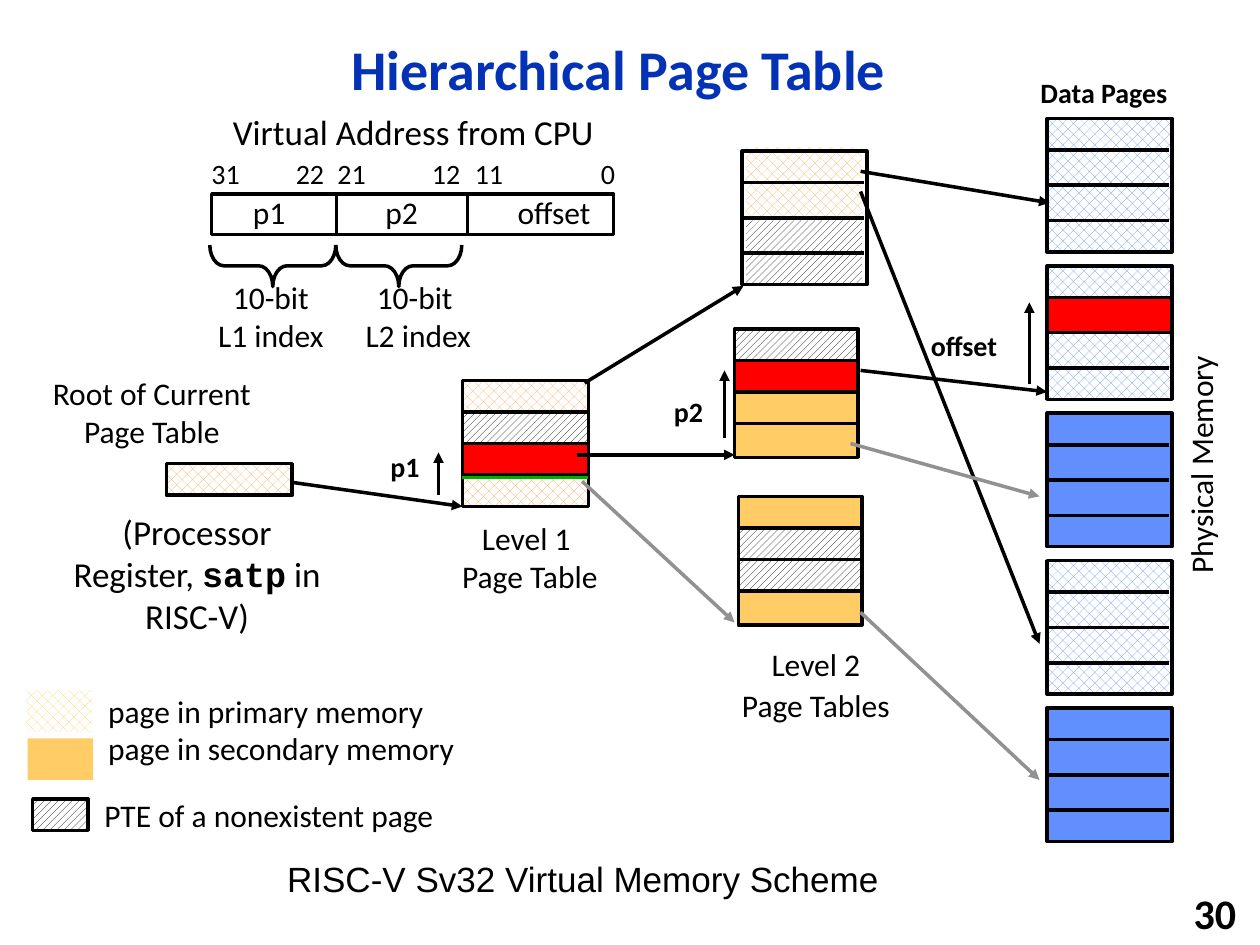
from lxml import etree
from pptx import Presentation
from pptx.dml.color import RGBColor
from pptx.enum.dml import MSO_PATTERN
from pptx.enum.shapes import MSO_CONNECTOR, MSO_SHAPE
from pptx.enum.text import MSO_ANCHOR, PP_ALIGN
from pptx.oxml.ns import qn
from pptx.util import Inches, Pt

STRAIGHT = MSO_CONNECTOR.STRAIGHT
RECT, BRACE = MSO_SHAPE.RECTANGLE, MSO_SHAPE.RIGHT_BRACE
DOTS, DIAG = MSO_PATTERN.from_xml("pct40"), MSO_PATTERN.from_xml("wdUpDiag")
LEFT, CENTER, RIGHT = PP_ALIGN.LEFT, PP_ALIGN.CENTER, PP_ALIGN.RIGHT
MIDDLE = MSO_ANCHOR.MIDDLE
BLACK, WHITE, GRAY, RED, GREEN = "000000", "FFFFFF", "919191", "FF0000", "00AE00"
GOLD, BLUE, NAVY = "FFCC66", "618FFD", "0332B7"
VOID = (DIAG, BLACK)
ENTRY = (DOTS, "FFA74F")
LIVE = (DOTS, BLUE)

PAGES = [LIVE, LIVE, BLUE, LIVE, BLUE]
ARROWS = [
    (2.33, 3.83, 3.67, 4.02, BLACK),
    (4.64, 3.04, 5.9, 2.27, BLACK),
    (4.58, 3.61, 5.83, 3.61, BLACK),
    (4.62, 3.82, 5.83, 4.94, GRAY),
    (6.83, 1.36, 8.33, 1.61, BLACK),
    (6.83, 1.52, 8.25, 5.11, BLACK),
    (6.83, 2.94, 8.31, 3.11, BLACK),
    (6.75, 3.52, 8.25, 3.94, GRAY),
    (6.83, 4.86, 8.25, 6.19, GRAY),
    (3.48, 3.93, 3.48, 3.59, BLACK),
    (5.75, 3.48, 5.75, 2.94, BLACK),
    (8.17, 3.05, 8.17, 2.4, BLACK),
]
BITS = [(1.58, "31"), (2.25, "22"), (2.58, "21"), (3.33, "12"), (3.67, "11"), (4.67, "0")]
FIELDS = [(1.91, "p1"), (2.96, "p2"), (4.01, "offset")]
TAGS = [
    (8.16, 0.55, 1.23, "Data Pages"),
    (3, 3.52, 0.43, "p1"),
    (5.25, 3.08, 0.44, "p2"),
    (7.29, 2.56, 0.74, "offset"),
]
NAMES = [
    (1.62, 2.16, 1.06, "10-bit\nL1 index"),
    (2.79, 2.16, 1.06, "10-bit \nL2 index"),
    (0.15, 2.92, 2.11, "Root of Current\nPage Table"),
    (3.55, 4.07, 1.31, "Level 1 \nPage Table"),
]


def color(code):
    return RGBColor.from_string(code)


def paint(shape, fill, edge):
    shape.shadow.inherit = False
    if fill is None:
        shape.fill.background()
    elif isinstance(fill, tuple):
        shape.fill.patterned()
        shape.fill.pattern = fill[0]
        shape.fill.fore_color.rgb = color(fill[1])
        shape.fill.back_color.rgb = color(WHITE)
    else:
        shape.fill.solid()
        shape.fill.fore_color.rgb = color(fill)
    if edge:
        shape.line.color.rgb = color(BLACK)
        shape.line.width = Pt(2)
    else:
        shape.line.fill.background()


def box(slide, x, y, w, h, fill=None, edge=True, kind=RECT):
    shape = slide.shapes.add_shape(kind, Inches(x), Inches(y), Inches(w), Inches(h))
    paint(shape, fill, edge)
    return shape


def line(slide, x1, y1, x2, y2, tone=BLACK, arrow=False):
    link = slide.shapes.add_connector(STRAIGHT, Inches(x1), Inches(y1), Inches(x2), Inches(y2))
    link.line.color.rgb = color(tone)
    link.line.width = Pt(2)
    if arrow:
        etree.SubElement(link.line._get_or_add_ln(), qn("a:tailEnd"), type="triangle")
    etree.SubElement(link._element.spPr, qn("a:effectLst"))


def text(slide, x, y, w, h, words, size=18, align=LEFT, bold=False,
         font="Calibri", tone=BLACK, wrap=False):
    shape = slide.shapes.add_textbox(Inches(x), Inches(y), Inches(w), Inches(h))
    frame = shape.text_frame
    frame.word_wrap = wrap
    frame.text = words
    for para in frame.paragraphs:
        para.alignment = align
        para.font.name = font
        para.font.size = Pt(size)
        para.font.bold = bold
        para.font.color.rgb = color(tone)
    return shape


def stack(slide, x, y, w, h, fills):
    for i, fill in enumerate(fills):
        box(slide, x, y + 0.25 * i, w, h, fill)


def page(slide, x, y, fill=None):
    box(slide, x, y, 0.99, 1.06, fill)
    for drop in (0.25, 0.53, 0.81):
        line(slide, x, y + drop, x + 0.97, y + drop)


def tables(slide):
    for i, fill in enumerate(PAGES):
        page(slide, 8.31, 0.94 + 1.17 * i, fill)
    box(slide, 8.31, 2.36, 0.99, 0.28, RED)
    box(slide, 5.92, 1.17, 0.92, 0.58, ENTRY, False)
    box(slide, 5.92, 1.75, 0.92, 0.5, VOID, False)
    page(slide, 5.89, 1.2)
    stack(slide, 5.83, 2.61, 0.98, 0.27, [VOID, RED, GOLD, GOLD])
    stack(slide, 5.86, 3.94, 0.98, 0.27, [GOLD, VOID, VOID, GOLD])
    stack(slide, 3.67, 3.02, 1, 0.25, [ENTRY, VOID, RED, ENTRY])
    line(slide, 3.67, 3.79, 4.67, 3.79, GREEN)
    box(slide, 1.32, 3.68, 1, 0.25, ENTRY)


def address(slide):
    text(slide, 1.75, 0.83, 3.1, 0.43, "Virtual Address from CPU", 20)
    box(slide, 1.68, 1.54, 3.19, 0.32, WHITE)
    for x in (2.67, 3.71):
        line(slide, x, 1.55, x, 1.86)
    for x, words in FIELDS:
        text(slide, x, 1.48, 0.8, 0.4, words, wrap=True)
    for x, words in BITS:
        text(slide, x, 1.19, 0.5, 0.37, words, 16, wrap=True)
    for x in (2, 3):
        brace = box(slide, x, 1.61, 0.33, 1, kind=BRACE)
        brace.rotation = 90
        brace.adjustments[0] = 0.34


def legend(slide):
    box(slide, 0.21, 5.48, 0.52, 0.33, (DOTS, GOLD), False)
    box(slide, 0.22, 5.86, 0.52, 0.33, GOLD, False)
    box(slide, 0.26, 6.34, 0.44, 0.25, VOID)
    text(slide, 0.76, 5.44, 2.98, 0.7, "page in primary memory\npage in secondary memory")
    text(slide, 0.73, 6.27, 2.85, 0.4, "PTE of a nonexistent page")


def labels(slide):
    for x, y, w, words in NAMES:
        text(slide, x, y, w, 0.7, words, align=CENTER)
    level = text(slide, 5.77, 5.07, 1.41, 0.74, "Level 2\nPage Tables ", align=CENTER)
    level.text_frame.paragraphs[1].space_before = Pt(2)
    for x, y, w, words in TAGS:
        text(slide, x, y, w, 0.37, words, 16, bold=True)
    note = text(slide, 0.4, 4, 2.33, 1.11, "(Processor\nRegister, ", 20, CENTER, wrap=True)
    para = note.text_frame.paragraphs[1]
    code = para.add_run()
    code.text = "satp"
    code.font.name = "Courier New"
    code.font.bold = True
    para.add_run().text = " in RISC-V)"
    side = text(slide, 8.26, 3.49, 2.54, 0.4, "Physical Memory", align=CENTER, wrap=True)
    side.rotation = 270
    text(slide, 2.18, 6.76, 5.01, 0.44, "RISC-V Sv32 Virtual Memory Scheme", 20, font="Arial")


def main():
    deck = Presentation()
    deck.slide_width, deck.slide_height = Inches(10), Inches(7.5)
    slide = deck.slides.add_slide(deck.slide_layouts[6])
    title = text(slide, 0.92, 0.17, 7.98, 0.81, "Hierarchical Page Table", 32, CENTER,
                 True, tone=NAVY, wrap=True)
    title.text_frame.paragraphs[0].line_spacing = 0.9
    number = text(slide, 7.83, 7.08, 2.08, 0.32, "30", 24, RIGHT, True, wrap=True)
    for shape in (title, number):
        shape.text_frame.vertical_anchor = MIDDLE
    tables(slide)
    address(slide)
    for arrow in ARROWS:
        line(slide, *arrow, arrow=True)
    legend(slide)
    labels(slide)
    deck.save("out.pptx")


if __name__ == "__main__":
    main()
